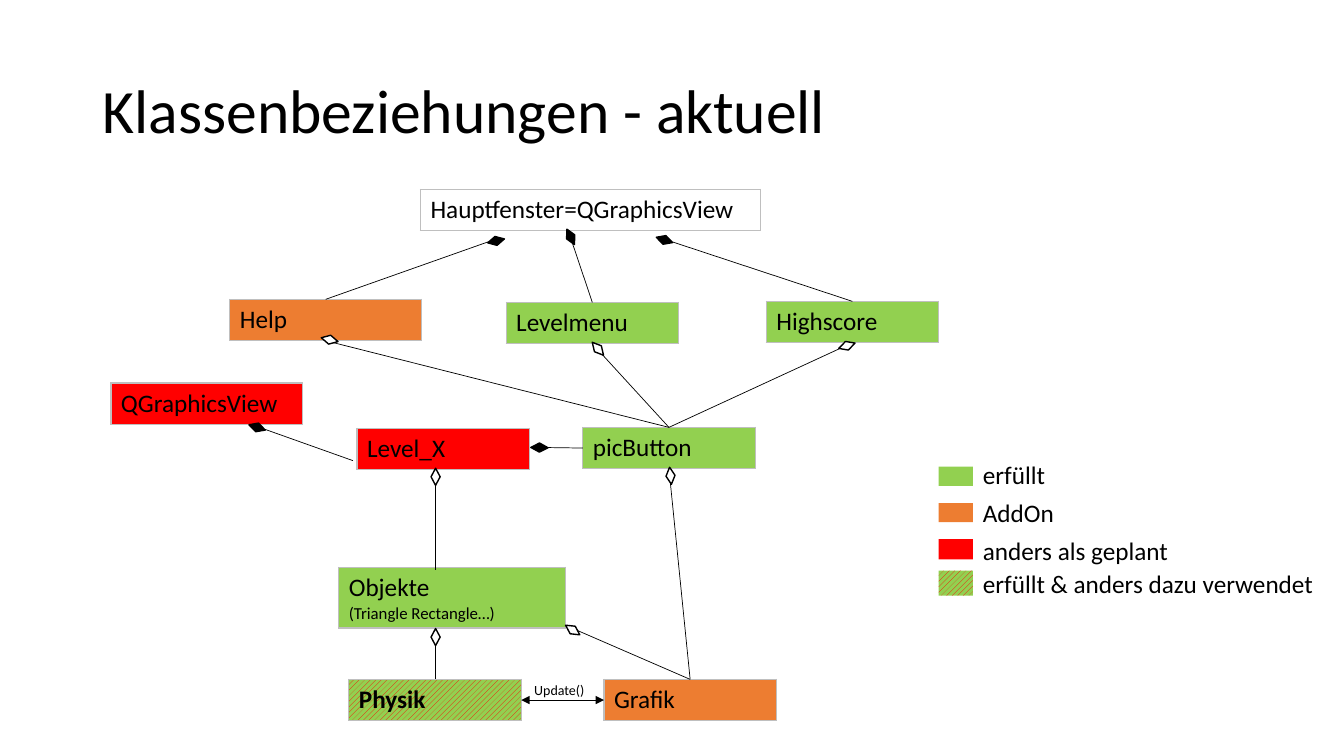
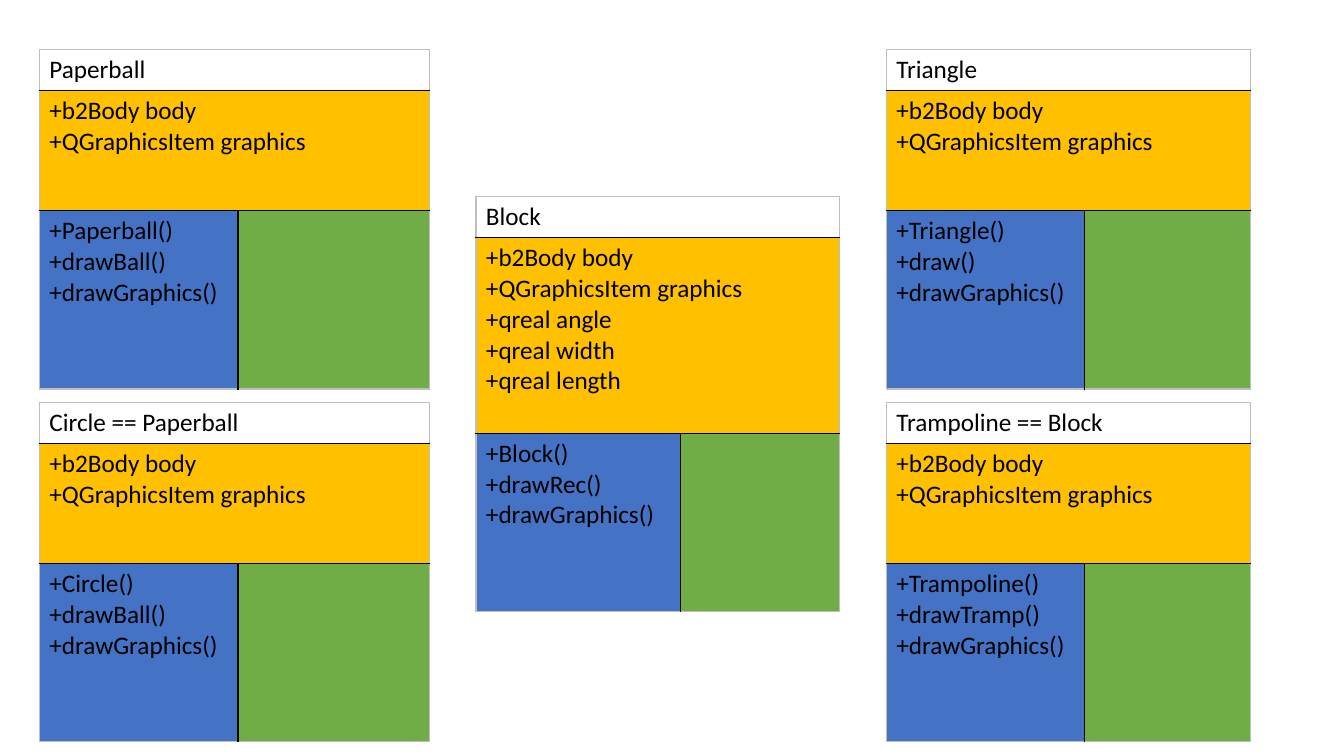
from dataclasses import dataclass

from pptx import Presentation
from pptx import util as u
from pptx.dml.color import RGBColor
from pptx.enum import dml, shapes, text
from pptx.oxml import parse_xml
from pptx.oxml.ns import nsdecls, qn


@dataclass(frozen=True)
class Theme:
    """Colours, font and type sizes of both slides."""
    font: str = "Calibri"
    ink: str = "000000"
    paper: str = "FFFFFF"
    edge: str = "BFBFBF"
    done: str = "92D050"
    addon: str = "ED7D31"
    changed: str = "FF0000"
    reused: tuple = ("FF0000", "92D050")
    fields: str = "FFC000"
    methods: str = "4472C4"
    blank: str = "70AD47"
    title: int = 44
    body: int = 18
    small: int = 12
    tiny: int = 10
    border: float = 1
    hairline: float = 0.5


T = Theme()
SLIDE = (13.33, 7.5)
ROW = 0.41

TITLE = "Klassenbeziehungen - aktuell"
# name: (left, top, width, height, fill)
CLASSES = {
    "Hauptfenster=QGraphicsView": (4.17, 1.88, 3.37, ROW, None),
    "Help": (2.28, 2.97, 1.9, ROW, T.addon),
    "Levelmenu": (5.02, 3, 1.71, ROW, T.done),
    "Highscore": (7.6, 2.99, 1.71, ROW, T.done),
    "QGraphicsView": (1.1, 3.8, 1.9, ROW, T.changed),
    "Level_X": (3.54, 4.25, 1.71, ROW, T.changed),
    "picButton": (5.78, 4.24, 1.71, ROW, T.done),
    "Objekte": (3.36, 5.63, 2.25, 0.6, T.done),
    "Physik": (3.46, 6.74, 1.71, ROW, T.reused),
    "Grafik": (5.99, 6.74, 1.71, ROW, T.addon),
}
SUBTITLES = {"Objekte": "(Triangle Rectangle…)"}
BOLD = {"Physik"}
SIDES = {"top": (0.5, 0), "bottom": (0.5, 1), "left": (0, 0.5), "right": (1, 0.5)}
# An end is a point or a class with one of its sides
LINKS = [
    (("picButton", "top"), ("Highscore", "bottom")),
    (("picButton", "top"), ("Levelmenu", "bottom")),
    (("picButton", "top"), ("Help", "bottom")),
    ((6.67, 2.4), ("Highscore", "top")),
    ((5.67, 2.39), ("Levelmenu", "top")),
    ((4.84, 2.4), ("Help", "top")),
    ((4.32, 4.8), (4.32, 5.65)),
    ((4.32, 6.41), (4.32, 6.74)),
    ((5.41, 4.44), ("picButton", "left")),
    ((5.67, 6.23), ("Grafik", "top")),
    (("picButton", "bottom"), ("Grafik", "top")),
    ((2.63, 4.26), (3.5, 4.57)),
]
DIAMOND = (0.17, 0.09)
# (centre x, centre y, rotation)
AGGREGATIONS = [
    (8.4, 3.43, 342), (5.93, 3.46, 229), (3.27, 3.37, 13), (4.32, 4.73, 270),
    (4.32, 6.32, 270), (5.68, 6.25, 214), (6.65, 4.72, 264),
]
COMPOSITIONS = [
    (6.59, 2.38, 198), (5.66, 2.35, 244), (4.92, 2.39, 347),
    (5.35, 4.44, 181), (2.55, 4.24, 198),
]
UPDATE = ("Update()", 5.2, 6.71, 0.85, 0.27)
# (label, fill, swatch top, swatch height, label top, label width)
LEGEND = [
    ("erfüllt", T.done, 4.63, 0.19, 4.51, 1.05),
    ("AddOn", T.addon, 4.99, 0.19, 4.88, 1.05),
    ("anders als geplant", T.changed, 5.35, 0.2, 5.26, 2.17),
    ("erfüllt & anders dazu verwendet", T.reused, 5.66, 0.25, 5.59, 3.57),
]
LEGEND_X, SWATCH_W = 9.31, 0.34

BASE = ["+b2Body body", "+QGraphicsItem graphics"]
SIZED = BASE + ["+qreal angle", "+qreal width", "+qreal length"]
LEFT, MIDDLE, RIGHT = (0.39, 1.97, 1.9), (4.72, 2.03, 1.58), (8.79, 1.97, 1.64)
UPPER, CENTRE, LOWER = 0.49, 1.95, 3.99
SHORT, TALL, METHODS_H = 1.19, 1.94, 1.77
# (name, fields, methods, column with its two widths, top, fields height)
CARDS = [
    ("Paperball", BASE, ["+Paperball()", "+drawBall()"], LEFT, UPPER, SHORT),
    ("Block", SIZED, ["+Block()", "+drawRec()"], MIDDLE, CENTRE, TALL),
    ("Circle == Paperball", BASE, ["+Circle()", "+drawBall()"], LEFT, LOWER, SHORT),
    ("Triangle", BASE, ["+Triangle()", "+draw()"], RIGHT, UPPER, SHORT),
    ("Trampoline == Block", BASE, ["+Trampoline()", "+drawTramp()"], RIGHT, LOWER, SHORT),
]
SHARED_METHOD = "+drawGraphics()"


def inches(*values):
    """Turn numbers into lengths."""
    return [u.Inches(v) for v in values]


def paint(fill, colour):
    """Fill with nothing, one colour, or a hatch of two colours."""
    if colour is None:
        fill.background()
    elif isinstance(colour, tuple):
        fill.patterned()
        fill.pattern = dml.MSO_PATTERN.WIDE_UPWARD_DIAGONAL
        fill.fore_color.rgb, fill.back_color.rgb = map(RGBColor.from_string, colour)
    else:
        fill.solid()
        fill.fore_color.rgb = RGBColor.from_string(colour)


def write(tf, lines):
    """Write one paragraph for each (text, format) pair."""
    for i, (line, extra) in enumerate(lines):
        p = tf.add_paragraph() if i else tf.paragraphs[0]
        r = p.add_run()
        r.text = line
        for key, value in {"name": T.font, "size": T.body, **extra}.items():
            setattr(r.font, key, u.Pt(value) if key == "size" else value)
        r.font.color.rgb = RGBColor.from_string(T.ink)


def add_label(slide, line, box, wrap=False, **extra):
    """Add a text box with one line and return its frame."""
    tf = slide.shapes.add_textbox(*inches(*box)).text_frame
    tf.word_wrap = wrap
    write(tf, [(line, extra)])
    return tf


def add_shape(slide, kind, box, fill, line=None, rotation=0):
    """Add a flat preset shape."""
    sp = slide.shapes.add_shape(kind, *inches(*box))
    sp.shadow.inherit = False
    sp.rotation = rotation
    paint(sp.fill, fill)
    paint(sp.line.fill, line)
    if line:
        sp.line.width = u.Pt(T.border)


def add_table(slide, left, top, cols, rows):
    """Add a table without a banded style."""
    box = inches(left, top, sum(cols), sum(rows))
    tbl = slide.shapes.add_table(len(rows), len(cols), *box).table
    tbl.first_row = tbl.horz_banding = False
    for column, width in zip(tbl.columns, cols):
        column.width = u.Inches(width)
    for row, height in zip(tbl.rows, rows):
        row.height = u.Inches(height)
    return tbl


def add_borders(tbl):
    """Draw the outer edge pale and the inner lines dark."""
    last_row, last_col = len(tbl.rows) - 1, len(tbl.columns) - 1
    for i in range(last_row + 1):
        for j in range(last_col + 1):
            cell = tbl.cell(i, j)
            merged = cell.is_merge_origin or cell.is_spanned
            outer = {"lnL": j == 0 or merged, "lnR": j == last_col or merged,
                     "lnT": i == 0, "lnB": i == last_row}
            tcPr = cell._tc.get_or_add_tcPr()
            for n, (side, is_outer) in enumerate(outer.items()):
                colour = T.edge if is_outer else T.ink
                tcPr.insert(n, parse_xml(
                    f'<a:{side} {nsdecls("a")} w="{u.Pt(T.border)}"><a:solidFill>'
                    f'<a:srgbClr val="{colour}"/></a:solidFill></a:{side}>'))


def add_class(slide, name):
    """Add one class box of the diagram."""
    left, top, width, height, fill = CLASSES[name]
    tbl = add_table(slide, left, top, [width], [height])
    cell = tbl.cell(0, 0)
    paint(cell.fill, fill)
    lines = [(name, {"bold": name in BOLD})]
    if name in SUBTITLES:
        lines.append((SUBTITLES[name], {"size": T.small}))
    write(cell.text_frame, lines)
    add_borders(tbl)


def anchor(end):
    """Find the point that a link end stands for."""
    if not isinstance(end[0], str):
        return end
    left, top, width, height, _ = CLASSES[end[0]]
    fx, fy = SIDES[end[1]]
    return left + fx * width, top + fy * height


def add_link(slide, start, end, arrows=False):
    """Join two ends with a thin line, with arrowheads if asked."""
    sp = slide.shapes.add_connector(
        shapes.MSO_CONNECTOR.STRAIGHT, *inches(*anchor(start), *anchor(end)))
    paint(sp.line.fill, T.ink)
    sp.line.width = u.Pt(T.hairline)
    if arrows:
        for tag in ("headEnd", "tailEnd"):
            ln = sp.line._get_or_add_ln()
            ln.append(ln.makeelement(qn(f"a:{tag}"), {"type": "triangle"}))
    spPr = sp._element.spPr
    spPr.append(spPr.makeelement(qn("a:effectLst"), {}))


def add_diamonds(slide, places, fill):
    """Add the diamonds of one relation type around their centres."""
    w, h = DIAMOND
    for x, y, rotation in places:
        add_shape(slide, shapes.MSO_SHAPE.FLOWCHART_DECISION,
                  (x - w / 2, y - h / 2, w, h), fill, T.ink, rotation)


def add_legend(slide):
    """Explain the fills of the class boxes."""
    for label, fill, top, height, label_top, label_width in LEGEND:
        add_shape(slide, shapes.MSO_SHAPE.RECTANGLE,
                  (LEGEND_X, top, SWATCH_W, height), fill)
        add_label(slide, label, (LEGEND_X + SWATCH_W, label_top, label_width, 0.4))


def add_card(slide, name, fields, methods, column, top, fields_height):
    """Add one class card: name, fields and methods."""
    left, *cols = column
    tbl = add_table(slide, left, top, cols, [ROW, fields_height, METHODS_H])
    for row in (0, 1):
        tbl.cell(row, 0).merge(tbl.cell(row, 1))
    parts = [(0, 0, [name], None), (1, 0, fields, T.fields),
             (2, 0, methods + [SHARED_METHOD], T.methods), (2, 1, [], T.blank)]
    for row, col, lines, fill in parts:
        cell = tbl.cell(row, col)
        paint(cell.fill, fill)
        write(cell.text_frame, [(line, {}) for line in lines])
    add_borders(tbl)


def build_relations(slide):
    """Build the diagram of class relations."""
    tf = add_label(slide, TITLE, (0.92, 0.4, 11.5, 1.45), True, size=T.title)
    tf.vertical_anchor = text.MSO_ANCHOR.MIDDLE
    tf.paragraphs[0].line_spacing = 0.9
    for name in CLASSES:
        add_class(slide, name)
    for start, end in LINKS:
        add_link(slide, start, end)
    add_link(slide, ("Physik", "right"), ("Grafik", "left"), arrows=True)
    add_diamonds(slide, AGGREGATIONS, T.paper)
    add_diamonds(slide, COMPOSITIONS, T.ink)
    label, *box = UPDATE
    add_label(slide, label, box, True, size=T.tiny)
    add_legend(slide)


def build_cards(slide):
    """Build the overview of class cards."""
    for card in CARDS:
        add_card(slide, *card)


prs = Presentation()
prs.slide_width, prs.slide_height = inches(*SLIDE)
for build in (build_relations, build_cards):
    build(prs.slides.add_slide(prs.slide_layouts[6]))
prs.save("out.pptx")
